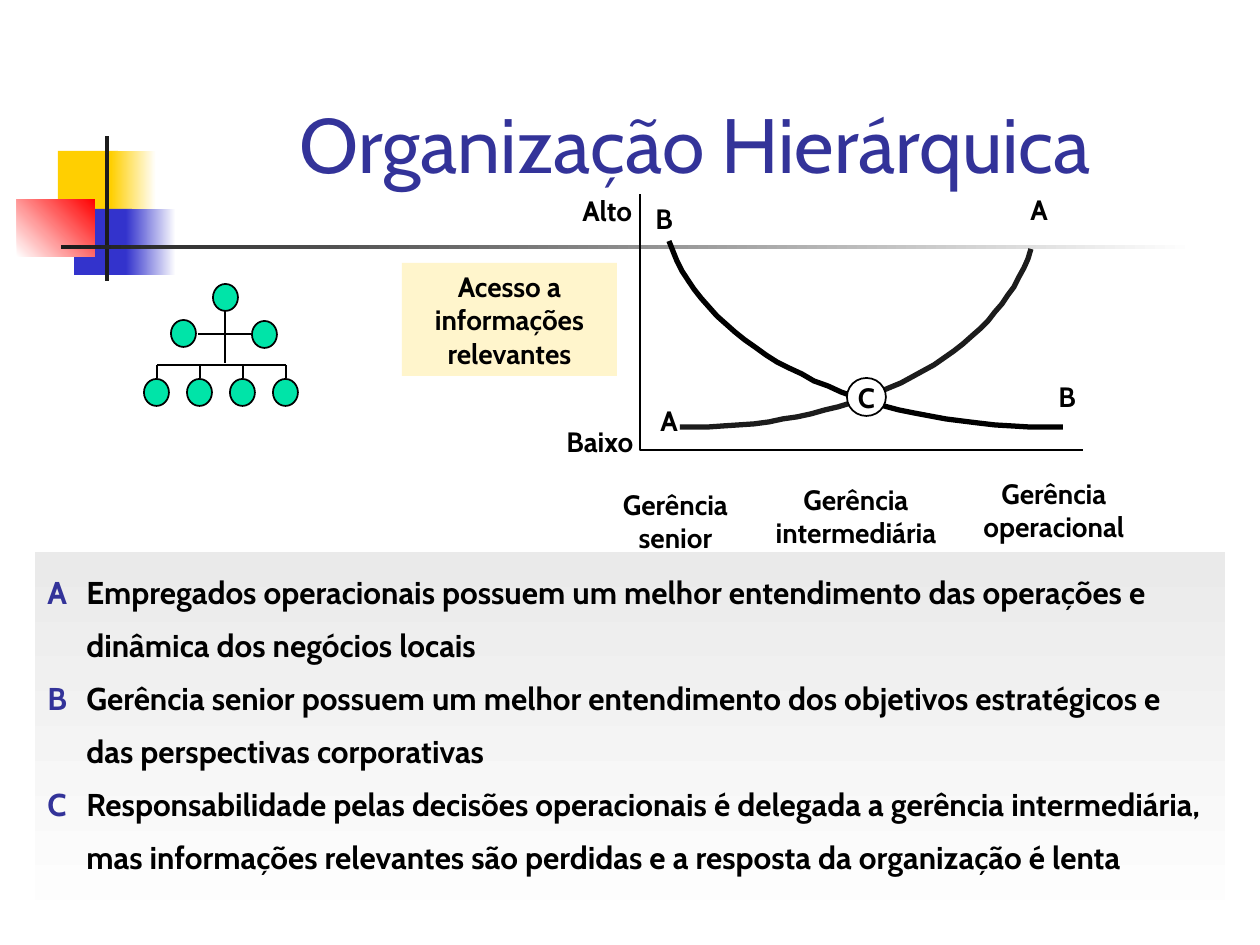
from lxml import etree
from pptx import Presentation, util as u
from pptx.dml.color import RGBColor
from pptx.enum import shapes, text as t
from pptx.oxml.ns import qn

PX = 7257  # EMU in one px, 126 px to the inch
FONT = "Cabin"
BLACK = RGBColor(0x00, 0x00, 0x00)
WHITE = RGBColor(0xFF, 0xFF, 0xFF)
INK = RGBColor(0x1C, 0x1C, 0x1C)
YELLOW = RGBColor(0xFF, 0xCF, 0x01)
BLUE = RGBColor(0x33, 0x33, 0xCC)
RED = RGBColor(0xFF, 0x00, 0x00)
NAVY = RGBColor(0x33, 0x33, 0x99)
GREEN = RGBColor(0x00, 0xE4, 0xA8)
CREAM = RGBColor(0xFF, 0xF5, 0xCC)
GREY = RGBColor(0xEA, 0xEA, 0xEA)
RECTANGLE = shapes.MSO_SHAPE.RECTANGLE
OVAL = shapes.MSO_SHAPE.OVAL

deck = Presentation()
deck.slide_width, deck.slide_height = u.Inches(10), u.Inches(7.5)
page = deck.slides.add_slide(deck.slide_layouts[5])


def add_box(kind, place, colors, angle=0, outline=None):
    """Add a preset shape; two colors make a gradient."""
    box = page.shapes.add_shape(kind, *(n * PX for n in place))
    box.shadow.inherit = False
    if len(colors) == 2:
        box.fill.gradient()
        box.fill.gradient_angle = angle
        for stop, color in zip(box.fill.gradient_stops, colors):
            stop.color.rgb = color
    else:
        box.fill.solid()
        box.fill.fore_color.rgb = colors[0]
    if outline is None:
        box.line.fill.background()
    else:
        box.line.color.rgb = outline
        box.line.width = u.Pt(1)
    return box


def write(box, lines, size=16, bold=True, color=BLACK, align=t.PP_ALIGN.LEFT,
          anchor=t.MSO_ANCHOR.TOP, wrap=True, spacing=None, hang=0):
    """Fill a box with lines, each a list of (text, color) spans or a string."""
    frame = box.text_frame
    frame.word_wrap = wrap
    frame.vertical_anchor = anchor
    for i, line in enumerate(lines):
        para = frame.add_paragraph() if i else frame.paragraphs[0]
        para.alignment = align
        if spacing:
            para.line_spacing = spacing
        if hang:
            properties = para._p.get_or_add_pPr()
            properties.set("marL", str(hang * PX))
            properties.set("indent", str(-hang * PX))
        for words, shade in [(line, color)] if isinstance(line, str) else line:
            span = para.add_run()
            span.text = words
            span.font.name = FONT
            span.font.size = u.Pt(size)
            span.font.bold = bold
            span.font.color.rgb = shade


# Corner ornament and rule under the title
for place, colors, angle in [
    ((58, 151, 60, 66), [YELLOW], 0),
    ((111, 151, 45, 66), [YELLOW, WHITE], 0),
    ((74, 209, 58, 66), [BLUE], 0),
    ((126, 209, 50, 66), [BLUE, WHITE], 0),
    ((17, 199, 78, 58), [WHITE, RED], 45),
    ((105, 136, 4, 145), [INK], 0),
    ((61, 245, 1134, 4), [INK, WHITE], 0),
]:
    add_box(RECTANGLE, place, colors, angle)

# Title
title = page.shapes.title
title.left, title.top, title.width, title.height = (
    n * PX for n in (159, 86, 1073, 109))
write(title, ["Organização Hierárquica"], size=44, bold=False, color=NAVY,
      align=t.PP_ALIGN.CENTER, anchor=t.MSO_ANCHOR.BOTTOM)

# Curves A and B: four Bezier points, then a short flat end
curves = []
for bezier, end, color in [
    ([(1031, 249), (999, 353), (858, 427), (694, 427)], (680, 427), INK),
    ([(669, 241), (704, 349), (862, 427), (1046, 427)], (1063, 427), BLACK),
]:
    points = []
    for step in range(33):
        s = step / 32
        weights = ((1 - s) ** 3, 3 * s * (1 - s) ** 2, 3 * s * s * (1 - s), s ** 3)
        points.append([sum(w * p[axis] for w, p in zip(weights, bezier))
                       for axis in (0, 1)])
    curves.append((points + [end], color, 3))

# Curves and chart axes
axes = [(640, 194), (640, 450), (1083, 450)]
for points, color, width in curves + [(axes, BLACK, 1)]:
    builder = page.shapes.build_freeform(*points[0], scale=PX)
    builder.add_line_segments(points[1:], close=False)
    outline = builder.convert_to_shape()
    outline.shadow.inherit = False
    outline.fill.background()
    outline.line.color.rgb = color
    outline.line.width = u.Pt(width)

# Organization tree: circles, then links
branches = [157 + 43 * i for i in range(4)]
circles = [(213, 284), (171, 320), (252, 321)] + [(x - 13, 379) for x in branches]
for left, top in circles:
    add_box(OVAL, (left, top, 25, 27), [GREEN], outline=BLACK)
links = [(branches[0], 365, branches[-1], 365), (225, 311, 225, 363),
         (198, 334, 252, 334)] + [(x, 365, x, 378) for x in branches]
for ends in links:
    link = page.shapes.add_connector(
        shapes.MSO_CONNECTOR.STRAIGHT, *(n * PX for n in ends))
    link.line.color.rgb = BLACK
    link.line.width = u.Pt(1)
    etree.SubElement(link._element.spPr, qn("a:effectLst"))

# Crossing point
crossing = add_box(OVAL, (847, 378, 39, 38), [WHITE], outline=BLACK)
write(crossing, ["C"], align=t.PP_ALIGN.CENTER, anchor=t.MSO_ANCHOR.MIDDLE,
      wrap=False)

# Curve, axis and category labels
for lines, place, align in [
    (["B"], (643, 195, 44, 47), t.PP_ALIGN.LEFT),
    (["B"], (1046, 373, 44, 47), t.PP_ALIGN.LEFT),
    (["A"], (648, 397, 44, 47), t.PP_ALIGN.LEFT),
    (["A"], (1018, 186, 44, 47), t.PP_ALIGN.LEFT),
    (["Alto"], (570, 187, 82, 47), t.PP_ALIGN.LEFT),
    (["Baixo"], (554, 418, 102, 47), t.PP_ALIGN.LEFT),
    (["Gerência", "senior"], (601, 481, 149, 81), t.PP_ALIGN.CENTER),
    (["Gerência", "intermediária"], (747, 476, 218, 81), t.PP_ALIGN.CENTER),
    (["Gerência", "operacional"], (959, 470, 190, 81), t.PP_ALIGN.CENTER),
]:
    label = page.shapes.add_textbox(*(n * PX for n in place))
    write(label, lines, align=align, wrap=False)

# Vertical axis caption
caption = add_box(RECTANGLE, (402, 263, 215, 113), [CREAM])
write(caption, ["Acesso a informações relevantes"], align=t.PP_ALIGN.CENTER)

# Explanation panel
panel = add_box(RECTANGLE, (35, 552, 1190, 383), [GREY, WHITE], angle=270)
notes = {
    "A": "Empregados operacionais possuem um melhor entendimento das operações "
         "e dinâmica dos negócios locais",
    "B": "Gerência senior possuem um melhor entendimento dos objetivos "
         "estratégicos e das perspectivas corporativas",
    "C": "Responsabilidade pelas decisões operacionais é delegada a gerência "
         "intermediária, mas informações relevantes são perdidas e a resposta "
         "da organização é lenta",
}
write(panel, [[(letter + "\t", NAVY), (note, BLACK)] for letter, note in notes.items()],
      size=18, spacing=1.4, hang=39)

deck.save("out.pptx")
